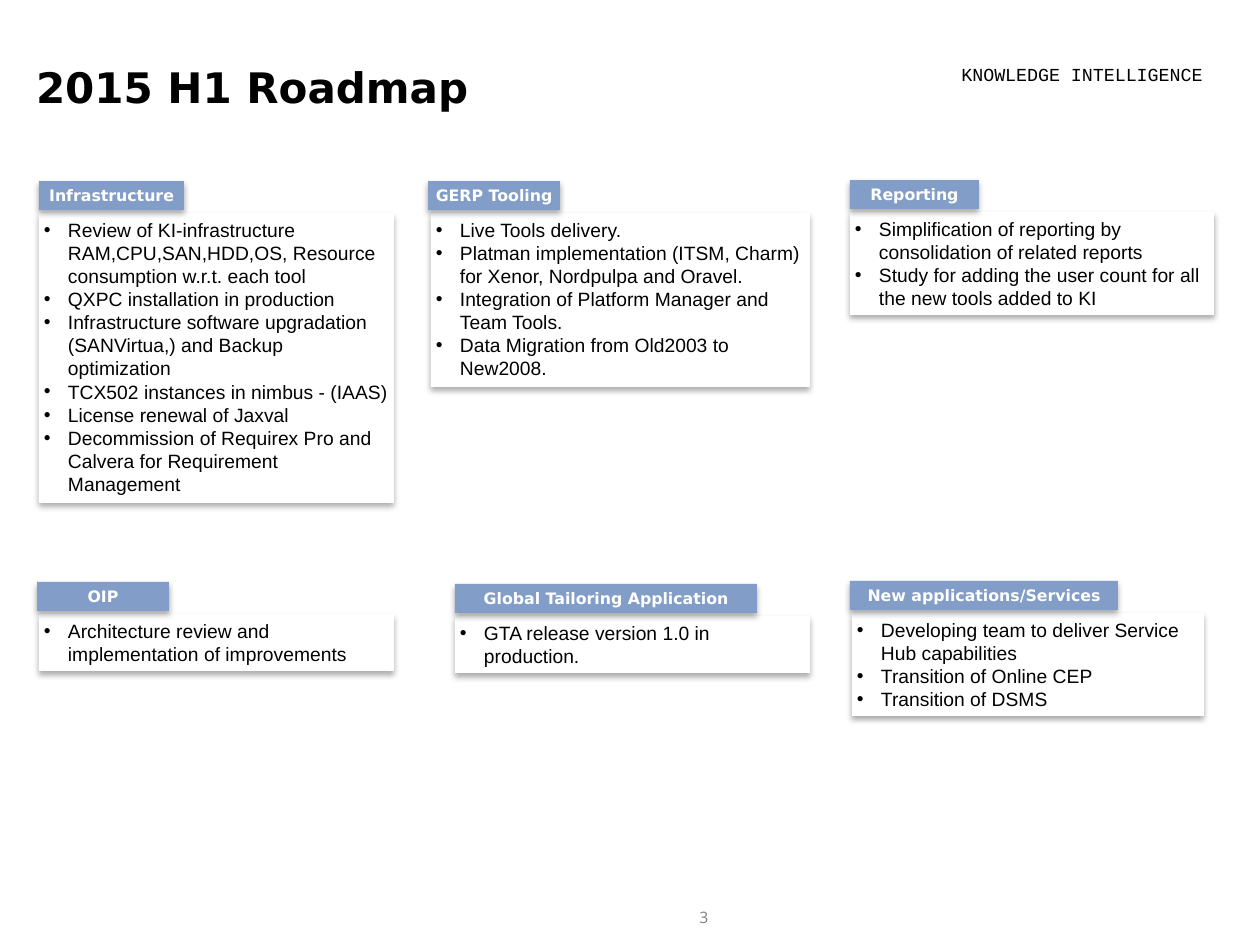
from lxml import etree
from pptx import Presentation
from pptx.dml.color import RGBColor
from pptx.enum.shapes import MSO_SHAPE as Preset
from pptx.enum.text import MSO_ANCHOR as Anchor, MSO_AUTO_SIZE as AutoSize, PP_ALIGN as Align
from pptx.oxml.ns import qn
from pptx.util import Pt

PX = 914400 // 126
COLORS = {"ink": "000000", "page": "818181", "label": "829DC7", "white": "FFFFFF"}
PANELS = [
    ((39, 181), 145, (39, 355, 290), "Infrastructure", [
        "Review of KI-infrastructure RAM,CPU,SAN,HDD,OS, Resource consumption w.r.t. each tool",
        "QXPC installation in production",
        "Infrastructure software upgradation (SANVirtua,) and Backup optimization",
        "TCX502 instances in nimbus - (IAAS)",
        "License renewal of Jaxval",
        "Decommission of Requirex Pro and Calvera for Requirement Management",
    ]),
    ((428, 181), 132, (431, 379, 174), "GERP Tooling", [
        "Live Tools delivery.",
        "Platman implementation (ITSM, Charm) for Xenor, Nordpulpa and Oravel.",
        "Integration of Platform Manager and Team Tools.",
        "Data Migration from Old2003 to New2008.",
    ]),
    ((850, 180), 129, (850, 364, 103), "Reporting", [
        "Simplification of reporting by consolidation of related reports",
        "Study for adding the user count for all the new tools added to KI",
    ]),
    ((37, 582), 132, (39, 355, 57), "OIP", [
        "Architecture review and implementation of improvements",
    ]),
    ((455, 584), 302, (455, 355, 57), "Global Tailoring Application", [
        "GTA release version 1.0 in production.",
    ]),
    ((850, 581), 268, (852, 352, 103), "New applications/Services", [
        "Developing team to deliver Service Hub capabilities",
        "Transition of Online CEP",
        "Transition of DSMS",
    ]),
]


def add_bullet(paragraph):
    properties = paragraph._p.get_or_add_pPr()
    properties.set("marL", str(24 * PX))
    properties.set("indent", str(-24 * PX))
    etree.SubElement(properties, qn("a:buFont"), typeface="Arial")
    etree.SubElement(properties, qn("a:buChar"), char="•")


def write_text(shape, lines, *, font, size, color="ink", bold=False, align=Align.LEFT,
               anchor=Anchor.TOP, insets=(13, 6), bullets=False, before=0,
               fit=AutoSize.SHAPE_TO_FIT_TEXT):
    frame = shape.text_frame
    frame.word_wrap = True
    frame.auto_size = fit
    frame.vertical_anchor = anchor
    frame.margin_left = frame.margin_right = insets[0] * PX
    frame.margin_top = frame.margin_bottom = insets[1] * PX
    frame.text = "\n".join(lines)
    for paragraph in frame.paragraphs:
        paragraph.alignment = align
        paragraph.space_before = Pt(before)
        if bullets:
            add_bullet(paragraph)
        text_font = paragraph.runs[0].font
        text_font.name = font
        text_font.size = Pt(size)
        text_font.bold = bold
        text_font.color.rgb = RGBColor.from_string(COLORS[color])


def add_shadow(shape):
    effects = etree.SubElement(shape._element.spPr, qn("a:effectLst"))
    shadow = etree.SubElement(effects, qn("a:outerShdw"), blurRad=str(Pt(3.5)),
                              dist=str(Pt(2.2)), dir="5400000", rotWithShape="0")
    color = etree.SubElement(shadow, qn("a:srgbClr"), val=COLORS["ink"])
    etree.SubElement(color, qn("a:alpha"), val="32000")


def add_card(slide, box, fill):
    shape = slide.shapes.add_shape(Preset.RECTANGLE, *(value * PX for value in box))
    shape.fill.solid()
    shape.fill.fore_color.rgb = RGBColor.from_string(COLORS[fill])
    shape.line.fill.background()
    add_shadow(shape)
    return shape


def add_text(slide, box, text, **style):
    shape = slide.shapes.add_textbox(*(value * PX for value in box))
    write_text(shape, [text], **style)


def add_panel(slide, corner, label_width, body, label, items):
    left, top = corner
    body_left, body_width, body_height = body
    body_card = add_card(slide, (body_left, top + 32, body_width, body_height), "white")
    write_text(body_card, items, font="Arial", size=11, insets=(5, 5), bullets=True)
    label_card = add_card(slide, (left, top, label_width, 29), "label")
    write_text(label_card, [label], font="DejaVu Sans", size=9, color="white", bold=True,
               align=Align.CENTER, anchor=Anchor.MIDDLE, insets=(5, 5))


def add_header(slide, left, top):
    add_text(slide, (left, top, 852, 105), "2015 H1 Roadmap", font="DejaVu Sans",
             size=24, bold=True, fit=AutoSize.NONE)
    add_text(slide, (left + 923, top + 2, 272, 35), "KNOWLEDGE INTELLIGENCE",
             font="Courier New", size=10.5, align=Align.CENTER)


def add_page_number(slide, left, top):
    add_text(slide, (left, top, 86, 33), "3", font="Open Sans", size=9, color="page",
             align=Align.CENTER, anchor=Anchor.MIDDLE, before=4.6)


def main():
    presentation = Presentation()
    presentation.slide_width = 1260 * PX
    presentation.slide_height = 945 * PX
    slide = presentation.slides.add_slide(presentation.slide_layouts[6])
    add_page_number(slide, 661, 901)
    add_header(slide, 23, 55)
    for panel in PANELS:
        add_panel(slide, *panel)
    presentation.save("out.pptx")


if __name__ == "__main__":
    main()
